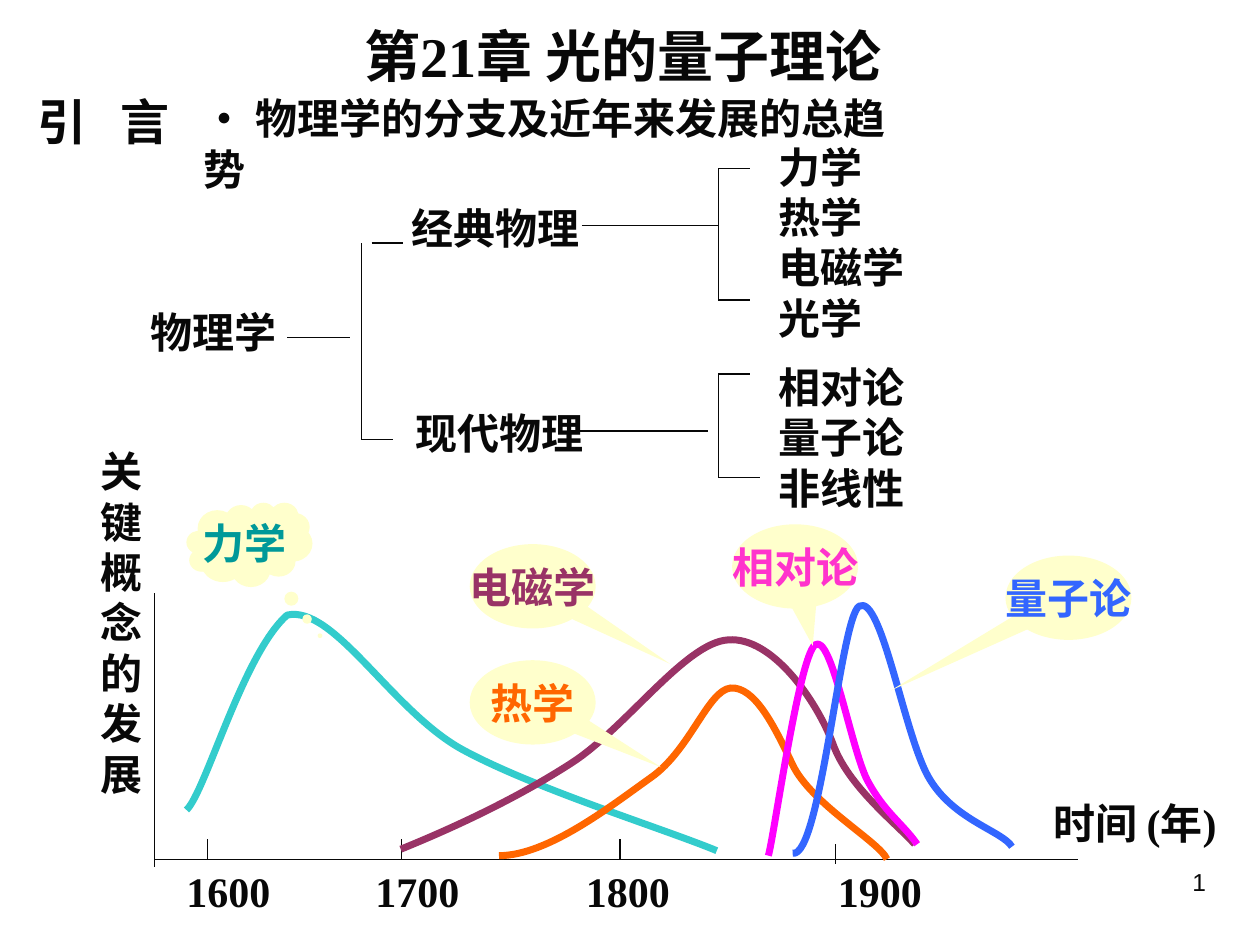
from lxml.etree import SubElement
from pptx import Presentation
from pptx.dml.color import RGBColor
from pptx.enum.shapes import MSO_CONNECTOR as Connector, MSO_SHAPE as Shape
from pptx.enum.text import MSO_ANCHOR as Anchor, PP_ALIGN as Align
from pptx.oxml.ns import qn
from pptx.util import Cm, Pt

colour = RGBColor.from_string
INK = "080808"


def write(box, lines, size=24, ink=INK, font="Times New Roman", bold=True,
          align=Align.LEFT, anchor=Anchor.TOP, wrap=False, tabs=()):
    frame = box.text_frame
    frame.word_wrap = wrap
    frame.vertical_anchor = anchor
    for index, line in enumerate(lines):
        para = frame.add_paragraph() if index else frame.paragraphs[0]
        para.alignment = align
        if tabs:
            tab_list = SubElement(para._p.get_or_add_pPr(), qn("a:tabLst"))
            for stop in tabs:
                SubElement(tab_list, qn("a:tab"), pos=str(Cm(stop)), algn="l")
        span = para.add_run()
        span.text = line
        values = {"name": font, "size": Pt(size), "bold": bold}
        for name, value in values.items():
            setattr(span.font, name, value)
        span.font.color.rgb = colour(ink)


def draw_line(x1, y1, x2, y2):
    line = page.shapes.add_connector(Connector.STRAIGHT, Cm(x1), Cm(y1), Cm(x2), Cm(y2))
    line.line.color.rgb = colour(INK)
    line.line.width = Pt(0.75)
    SubElement(line._element.spPr, qn("a:effectLst"))


deck = Presentation()
deck.slide_width, deck.slide_height = Cm(25.4), Cm(19.05)
page = deck.slides.add_slide(deck.slide_layouts[5])

title = page.shapes.title
placement = {"left": Cm(7.09), "top": Cm(0.3), "width": Cm(11.79), "height": Cm(1.63)}
for name, value in placement.items():
    setattr(title, name, value)
write(title, ["第21章 光的量子理论"], size=32)

texts = [
    (18.21, 17.35, 6.35, 1.32, ["1"],
     {"size": 14, "font": "Arial", "bold": False, "align": Align.RIGHT, "wrap": True}),
    (0.51, 1.73, 4.8, 1.45, ["引\t言"], {"size": 28, "wrap": True, "tabs": [1.68]}),
    (3.86, 1.75, 14.58, 1.27, ["• 物理学的分支及近年来发展的总趋势"], {"wrap": True}),
    (2.79, 6.05, 3.05, 1.27, ["物理学"], {}),
    (8.05, 3.96, 3.89, 1.27, ["经典物理"], {}),
    (8.13, 8.1, 3.89, 1.27, ["现代物理"], {}),
    (15.44, 2.72, 3.05, 4.32, ["力学", "热学", "电磁学", "光学"], {}),
    (15.44, 7.16, 3.05, 3.3, ["相对论", "量子论", "非线性"], {}),
    (20.98, 15.95, 4.42, 1.27, ["时间 (年)"], {}),
    (1.78, 8.86, 1.35, 7.37, list("关键概念的发展"), {}),
    (3.51, 17.32, 16, 1.27, ["1600\t1700\t1800\t1900"],
     {"wrap": True, "tabs": [3.81, 8.05, 13.13]}),
]
for left, top, width, height, lines, options in texts:
    box = page.shapes.add_textbox(Cm(left), Cm(top), Cm(width), Cm(height))
    write(box, lines, **options)

stems = [(5.79, 6.81, 7.06), (11.73, 4.55, 14.48), (11.51, 8.69, 14.27)]
for start, y, end in stems:
    draw_line(start, y, end, y)

brackets = [
    (7.29, 4.9, 8.86, (7.49, 8.13), (7.29, 7.92)),
    (14.48, 3.4, 6.05, (14.48, 15.11), (14.48, 15.11)),
    (14.48, 7.54, 9.63, (14.48, 15.11), (14.48, 15.32)),
]
for x, top, bottom, upper, lower in brackets:
    draw_line(x, top, x, bottom)
    draw_line(upper[0], top, upper[1], top)
    draw_line(lower[0], bottom, lower[1], bottom)

axis_y = 17.32
draw_line(3.12, axis_y, 21.74, axis_y)
draw_line(3.12, 11.96, 3.12, 17.48)
for x, top in [(4.19, 16.92), (8.1, 16.92), (12.5, 16.92), (16.84, 17.02)]:
    draw_line(x, top, x, top + 0.4)

curves = [
    ("33CCCC", [(3.76, 16.33), (4.14, 15.98), (4.9, 13.18), (5.79, 12.4),
                (6.73, 12.19), (7.9, 14.33), (9.32, 15.11),
                (10.77, 15.9), (13.39, 16.71), (14.45, 17.15)]),
    ("993366", [(18.44, 17.02), (18.08, 16.61), (17.09, 15.85), (16.79, 14.99),
                (16.46, 14.12), (15.57, 12.83), (14.68, 12.9),
                (13.82, 12.95), (12.62, 14.68), (11.51, 15.39),
                (10.41, 16.1), (9.14, 16.69), (8.08, 17.12)]),
    ("FF6600", [(17.88, 17.32), (17.73, 16.97), (16.36, 16.21), (15.98, 15.42),
                (15.6, 14.61), (15.21, 13.84), (14.73, 13.87),
                (14.27, 13.92), (13.92, 15.11), (13.13, 15.67),
                (12.34, 16.23), (11.05, 17.25), (10.06, 17.25)]),
    ("FF00FF", [(15.49, 17.25), (15.6, 16.89), (16.1, 13.28), (16.43, 13),
                (16.76, 12.75), (17.15, 15.06), (17.48, 15.72),
                (17.83, 16.38), (18.19, 16.59), (18.49, 17.02)]),
    ("3366FF", [(15.98, 17.2), (16.54, 17.32), (16.94, 12.47), (17.32, 12.22),
                (17.78, 11.96), (18.24, 14.91), (18.75, 15.72),
                (19.25, 16.54), (20.22, 16.76), (20.4, 17.07)]),
]
for ink, points in curves:
    start, *rest = [(Cm(x), Cm(y)) for x, y in points]
    builder = page.shapes.build_freeform(*start)
    builder.add_line_segments(rest, close=False)
    curve = builder.convert_to_shape()
    curve.shadow.inherit = False
    curve.fill.background()
    curve.line.color.rgb = colour(ink)
    curve.line.width = Pt(4)
    segments = list(curve._element.iter(qn("a:lnTo")))
    outline = segments[0].getparent()
    for first in range(0, len(segments), 3):
        bezier = SubElement(outline, qn("a:cubicBezTo"))
        for segment in segments[first:first + 3]:
            bezier.append(segment[0])
            outline.remove(segment)

cloud, bubble = Shape.CLOUD_CALLOUT, Shape.OVAL_CALLOUT
callouts = [
    (cloud, 3.76, 10.13, (0.56, 1.08), "力学", "009999"),
    (bubble, 9.47, 10.97, (1.09, 0.92), "电磁学", "993366"),
    (bubble, 9.47, 13.31, (1.02, 0.77), "热学", "FF6600"),
    (bubble, 14.76, 10.57, (0.14, 0.94), "相对论", "FF33CC"),
    (bubble, 20.27, 11.2, (-1.41, 1.1), "量子论", "3366FF"),
]
for kind, left, top, tip, label, ink in callouts:
    callout = page.shapes.add_shape(kind, Cm(left), Cm(top), Cm(2.54), Cm(1.7))
    callout.shadow.inherit = False
    callout.adjustments[0], callout.adjustments[1] = tip
    callout.fill.solid()
    callout.fill.fore_color.rgb = colour("FFFFCC")
    callout.line.fill.background()
    write(callout, [label], ink=ink, align=Align.CENTER, anchor=Anchor.MIDDLE)

deck.save("out.pptx")
